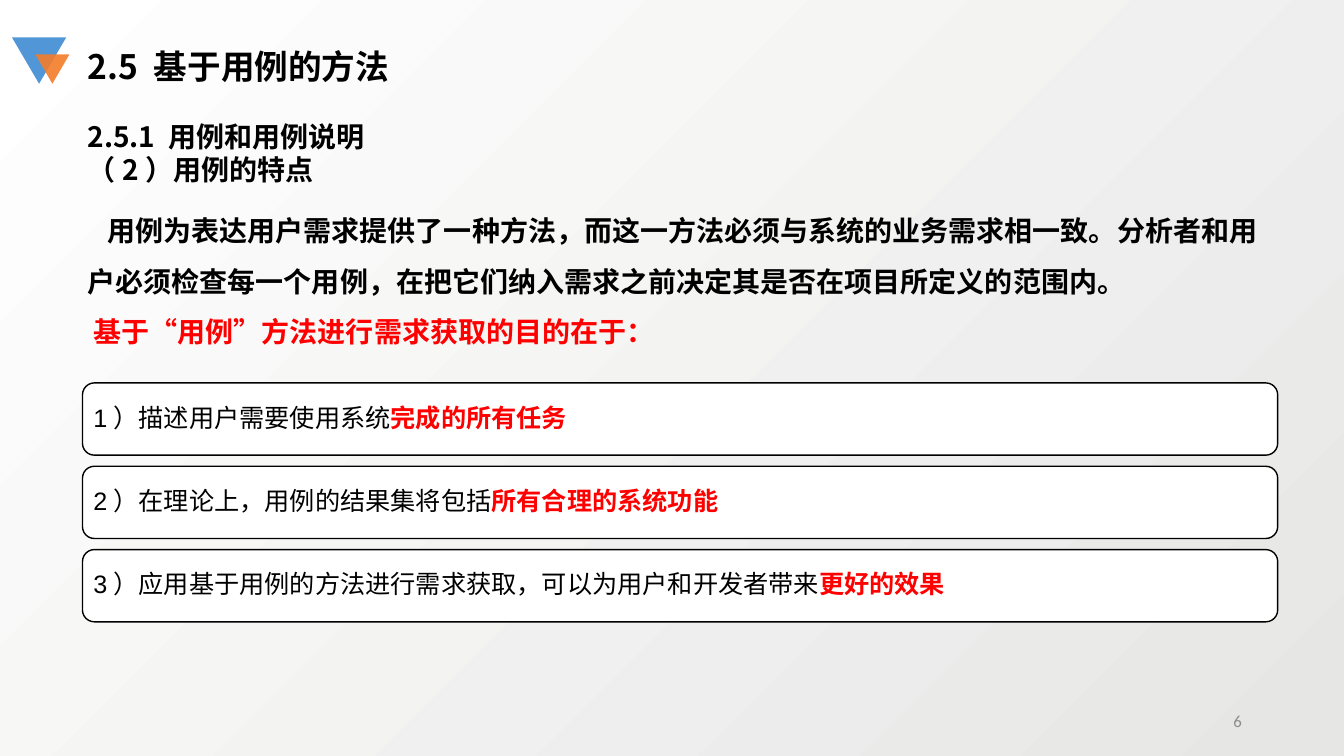
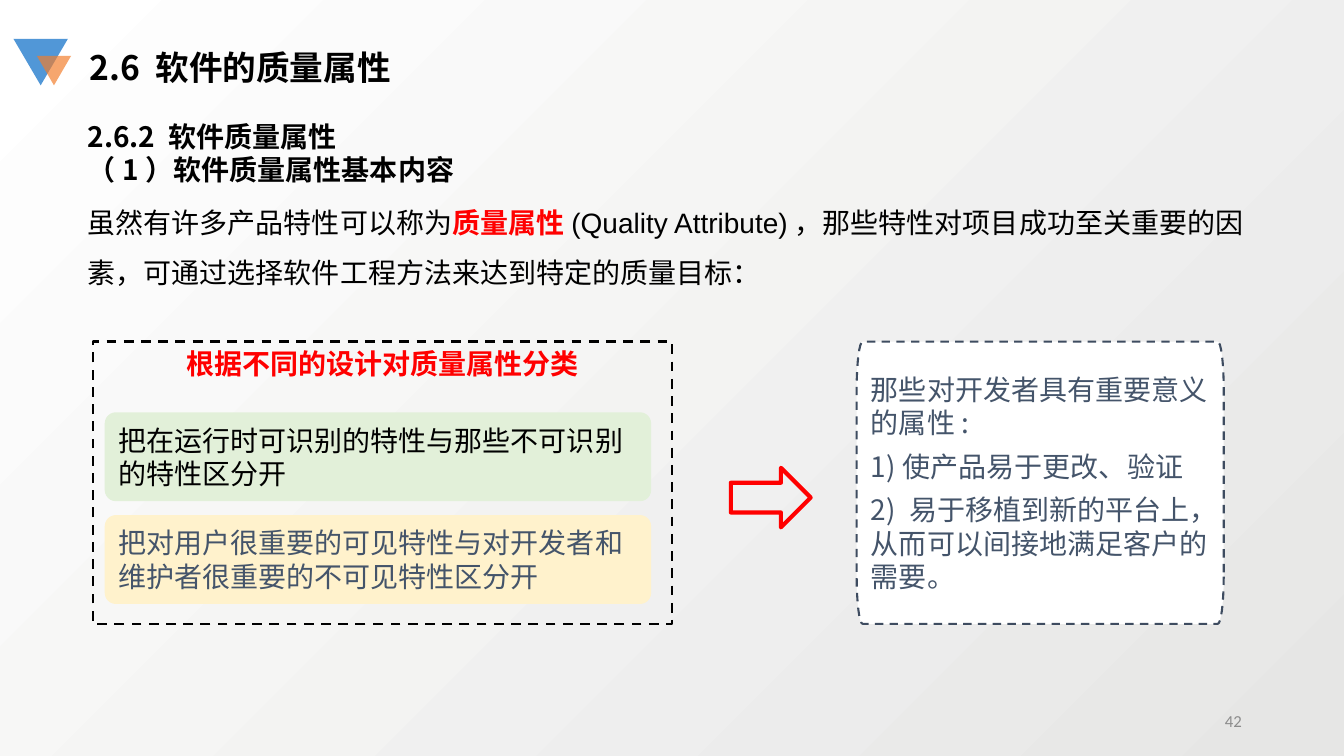
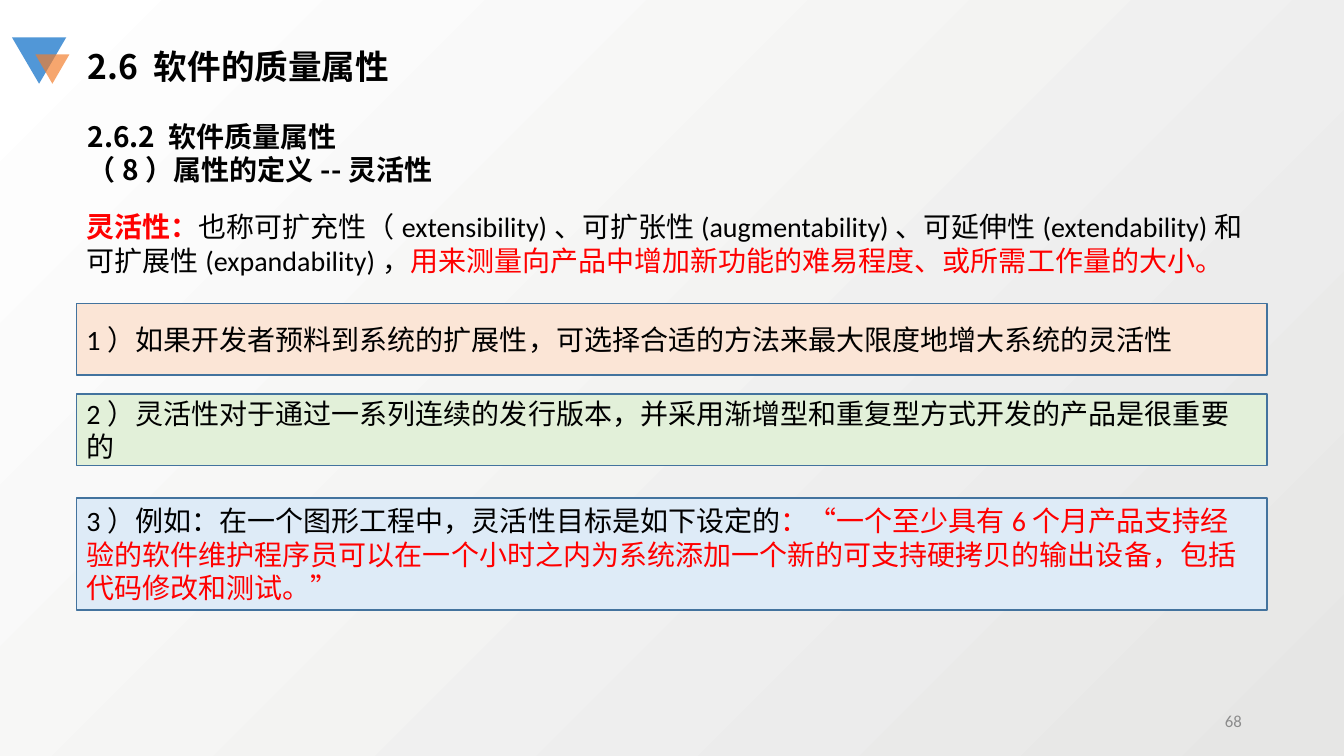
import math

import lxml.etree
import pptx
import pptx.dml.color
import pptx.enum.dml
import pptx.enum.shapes
import pptx.enum.text
import pptx.oxml.ns
import pptx.util

Cm = pptx.util.Cm
Pt = pptx.util.Pt
SHAPES = pptx.enum.shapes.MSO_SHAPE
ANCHOR = pptx.enum.text.MSO_ANCHOR
ALIGN = pptx.enum.text.PP_ALIGN
qn = pptx.oxml.ns.qn

CJK = "Noto Sans CJK SC"
LEFT = 1.96
BLACK, WHITE, RED = "000000", "FFFFFF", "FF0000"
SLATE, GREEN = "44546A", "E2F0D9"


def rgb(code):
    return pptx.dml.color.RGBColor.from_string(code)


def write(paragraph, text, size=20, color=BLACK, bold=False, font=CJK):
    run = paragraph.add_run()
    run.text = text
    run.font.size = Pt(size)
    run.font.bold = bold
    run.font.name = font
    run.font.color.rgb = rgb(color)
    east_asian = lxml.etree.SubElement(run.font._element, qn("a:ea"))
    east_asian.set("typeface", CJK)


def fill_frame(frame, paragraphs, anchor=ANCHOR.TOP, align=ALIGN.LEFT, inset=(0.25, 0.13),
               spacing=None, after=0, indents=(), **style):
    frame.word_wrap = True
    frame.auto_size = pptx.enum.text.MSO_AUTO_SIZE.NONE
    frame.vertical_anchor = anchor
    frame.margin_left = frame.margin_right = Cm(inset[0])
    frame.margin_top = frame.margin_bottom = Cm(inset[1])
    for index, runs in enumerate(paragraphs):
        paragraph = frame.add_paragraph() if index else frame.paragraphs[0]
        paragraph.alignment = align
        paragraph.space_after = Pt(after)
        if spacing:
            paragraph.line_spacing = spacing
        if indents:
            paragraph._p.get_or_add_pPr().set("indent", str(Cm(indents[index])))
        for text, changes in runs:
            write(paragraph, text, **{**style, **changes})


def plain(*texts):
    return [[(text, {})] for text in texts]


def add_text(slide, place, paragraphs, **format):
    box = slide.shapes.add_textbox(*map(Cm, place))
    fill_frame(box.text_frame, paragraphs, **format)


def paint(shape, fill=None, line=None, width=1, dashed=False):
    shape.shadow.inherit = False
    if fill:
        shape.fill.solid()
        shape.fill.fore_color.rgb = rgb(fill)
    else:
        shape.fill.background()
    if line:
        shape.line.color.rgb = rgb(line)
        shape.line.width = Pt(width)
        if dashed:
            shape.line.dash_style = pptx.enum.dml.MSO_LINE.DASH
    else:
        shape.line.fill.background()


def add_box(slide, kind, place, radius=None, **look):
    box = slide.shapes.add_shape(kind, *map(Cm, place))
    if radius:
        box.adjustments[0] = radius / min(place[2:])
    paint(box, **look)
    return box


def add_oval_cornered_box(slide, place, rx, ry, **look):
    left, top, width, height = place
    centers = [(left + width - rx, top + height - ry), (left + rx, top + height - ry),
               (left + rx, top + ry), (left + width - rx, top + ry)]
    points = []
    for quarter, (x, y) in enumerate(centers):
        for step in range(9):
            angle = math.pi / 2 * (quarter + step / 8)
            points.append((Cm(x + rx * math.cos(angle)), Cm(y + ry * math.sin(angle))))
    builder = slide.shapes.build_freeform(*points[0])
    builder.add_line_segments(points[1:], close=True)
    box = builder.convert_to_shape()
    paint(box, **look)
    return box


def add_badge(slide, shift, opacity):
    triangles = [((0.3, 0.94, 1.37, 1.17), "5197D7", 100),
                 ((0.89, 1.37, 0.86, 0.74), "F37D2A", opacity)]
    for (left, top, width, height), color, percent in triangles:
        place = (left + shift, top + shift, width, height)
        triangle = add_box(slide, SHAPES.ISOSCELES_TRIANGLE, place, fill=color)
        triangle.rotation = 180
        if percent < 100:
            tint = triangle._element.spPr.find(qn("a:solidFill")).find(qn("a:srgbClr"))
            lxml.etree.SubElement(tint, qn("a:alpha")).set("val", str(percent * 1000))


def start_slide(deck, title, headings, number, shift=0, opacity=68):
    slide = deck.slides.add_slide(deck.slide_layouts[5])
    heading = slide.shapes.title
    heading.left, heading.top, heading.width, heading.height = map(
        Cm, (LEFT + shift, 1.02 + shift, 10, 1.27))
    fill_frame(heading.text_frame, plain(title), size=24, bold=True)
    add_badge(slide, shift, opacity)
    add_text(slide, (LEFT, 2.87, 21.56, 1.96), plain(*headings), bold=True)
    add_text(slide, (23.93, 17.65, 7.62, 1.02), plain(number), anchor=ANCHOR.MIDDLE,
             align=ALIGN.RIGHT, size=12, color="8C8C8C", font="Calibri")
    return slide


def set_background(deck):
    fill = deck.slide_master.background.fill
    fill.gradient()
    fill.gradient_angle = 135
    for stop, color in zip(fill.gradient_stops, ("E6E6E5", WHITE)):
        stop.color.rgb = rgb(color)


def build_use_cases(deck):
    slide = start_slide(deck, "2.5 基于用例的方法", ["2.5.1 用例和用例说明", "（2）用例的特点"],
                        "6", opacity=90)
    add_text(slide, (LEFT, 4.83, 30.38, 3.94), [
        [("用例为表达用户需求提供了一种方法，而这一方法必须与系统的业务需求相一致。"
          "分析者和用户必须检查每一个用例，在把它们纳入需求之前决定其是否在项目所定义的范围内。", {})],
        [("基于“用例”方法进行需求获取的目的在于：", {"color": RED})],
    ], spacing=1.5, indents=(0.5, 0.15), bold=True, font="Arial")
    goals = [("1）描述用户需要使用系统", "完成的所有任务"),
             ("2）在理论上，用例的结果集将包括", "所有合理的系统功能"),
             ("3）应用基于用例的方法进行需求获取，可以为用户和开发者带来", "更好的效果")]
    for row, (lead, emphasis) in enumerate(goals):
        goal = add_box(slide, SHAPES.ROUNDED_RECTANGLE, (2.08, 9.65 + row * 2.1, 30.12, 1.82),
                       radius=0.3, fill=WHITE, line=BLACK)
        fill_frame(goal.text_frame, [[(lead, {}), (emphasis, {"color": RED, "bold": True})]],
                   anchor=ANCHOR.MIDDLE, inset=(0.19, 0.19), spacing=0.9, after=6,
                   size=18, font="Arial")


def build_quality_attributes(deck):
    slide = start_slide(deck, "2.6 软件的质量属性",
                        ["2.6.2 软件质量属性", "（1）软件质量属性基本内容"], "42", shift=0.04)
    add_text(slide, (LEFT, 4.62, 30.28, 2.67), [[
        ("虽然有许多产品特性可以称为", {}),
        ("质量属性", {"color": RED, "bold": True}),
        ("(Quality Attribute)，那些特性对项目成功至关重要的因素，"
         "可通过选择软件工程方法来达到特定的质量目标：", {}),
    ]], spacing=1.5, font="Arial")
    classes = add_box(slide, SHAPES.RECTANGLE, (2.34, 8.61, 14.6, 7.11),
                      line=BLACK, width=1.75, dashed=True)
    fill_frame(classes.text_frame, plain("根据不同的设计对质量属性分类"),
               align=ALIGN.CENTER, color=RED, bold=True)
    distinctions = [("把在运行时可识别的特性与那些不可识别的特性区分开", GREEN, BLACK),
                    ("把对用户很重要的可见特性与对开发者和维护者很重要的不可见特性区分开", "FFF2CC", SLATE)]
    for row, (text, fill, color) in enumerate(distinctions):
        distinction = add_box(slide, SHAPES.ROUNDED_RECTANGLE,
                              (2.64, 10.39 + row * 2.59, 13.77, 2.24), radius=0.28, fill=fill)
        fill_frame(distinction.text_frame, plain(text), anchor=ANCHOR.MIDDLE,
                   inset=(0.26, 0.26), color=color)
    add_box(slide, SHAPES.RIGHT_ARROW, (18.42, 11.79, 2.01, 1.5), line=RED, width=3)
    developer_view = add_oval_cornered_box(slide, (21.59, 8.61, 9.25, 7.11), 0.15, 1.19,
                                           fill=WHITE, line="3E4C60", width=1.5, dashed=True)
    fill_frame(developer_view.text_frame,
               plain("那些对开发者具有重要意义的属性:", "1)使产品易于更改、验证",
                     "2) 易于移植到新的平台上，从而可以间接地满足客户的需要。"),
               anchor=ANCHOR.MIDDLE, inset=(0.36, 0.36), after=7, color=SLATE)


def build_flexibility(deck):
    slide = start_slide(deck, "2.6 软件的质量属性",
                        ["2.6.2 软件质量属性", "（8）属性的定义--灵活性"], "68")
    add_text(slide, (1.93, 5.23, 30, 1.8), [[
        ("灵活性：", {"color": RED, "bold": True}),
        ("也称可扩充性（extensibility)、可扩张性(augmentability)、"
         "可延伸性(extendability)和可扩展性(expandability)，", {}),
        ("用来测量向产品中增加新功能的难易程度、或所需工作量的大小。", {"color": RED}),
    ]], anchor=ANCHOR.MIDDLE, font="Calibri")
    points = [
        (7.65, 1.8, "FBE5D6",
         "1）如果开发者预料到系统的扩展性，可选择合适的方法来最大限度地增大系统的灵活性", ""),
        (9.93, 1.8, GREEN,
         "2）灵活性对于通过一系列连续的发行版本，并采用渐增型和重复型方式开发的产品是很重要的", ""),
        (12.55, 2.82, "DEEBF7", "3）例如：在一个图形工程中，灵活性目标是如下设定的",
         "：“一个至少具有6个月产品支持经验的软件维护程序员可以在一个小时之内为系统"
         "添加一个新的可支持硬拷贝的输出设备，包括代码修改和测试。”"),
    ]
    for top, height, fill, text, example in points:
        point = add_box(slide, SHAPES.RECTANGLE, (1.93, top, 30, height), fill=fill, line="43739E")
        runs = [(text, {})]
        if example:
            runs.append((example, {"color": RED}))
        fill_frame(point.text_frame, [runs], anchor=ANCHOR.MIDDLE, font="Calibri")


def main():
    deck = pptx.Presentation()
    deck.slide_width, deck.slide_height = Cm(33.87), Cm(19.05)
    set_background(deck)
    build_use_cases(deck)
    build_quality_attributes(deck)
    build_flexibility(deck)
    deck.save("out.pptx")


if __name__ == "__main__":
    main()
